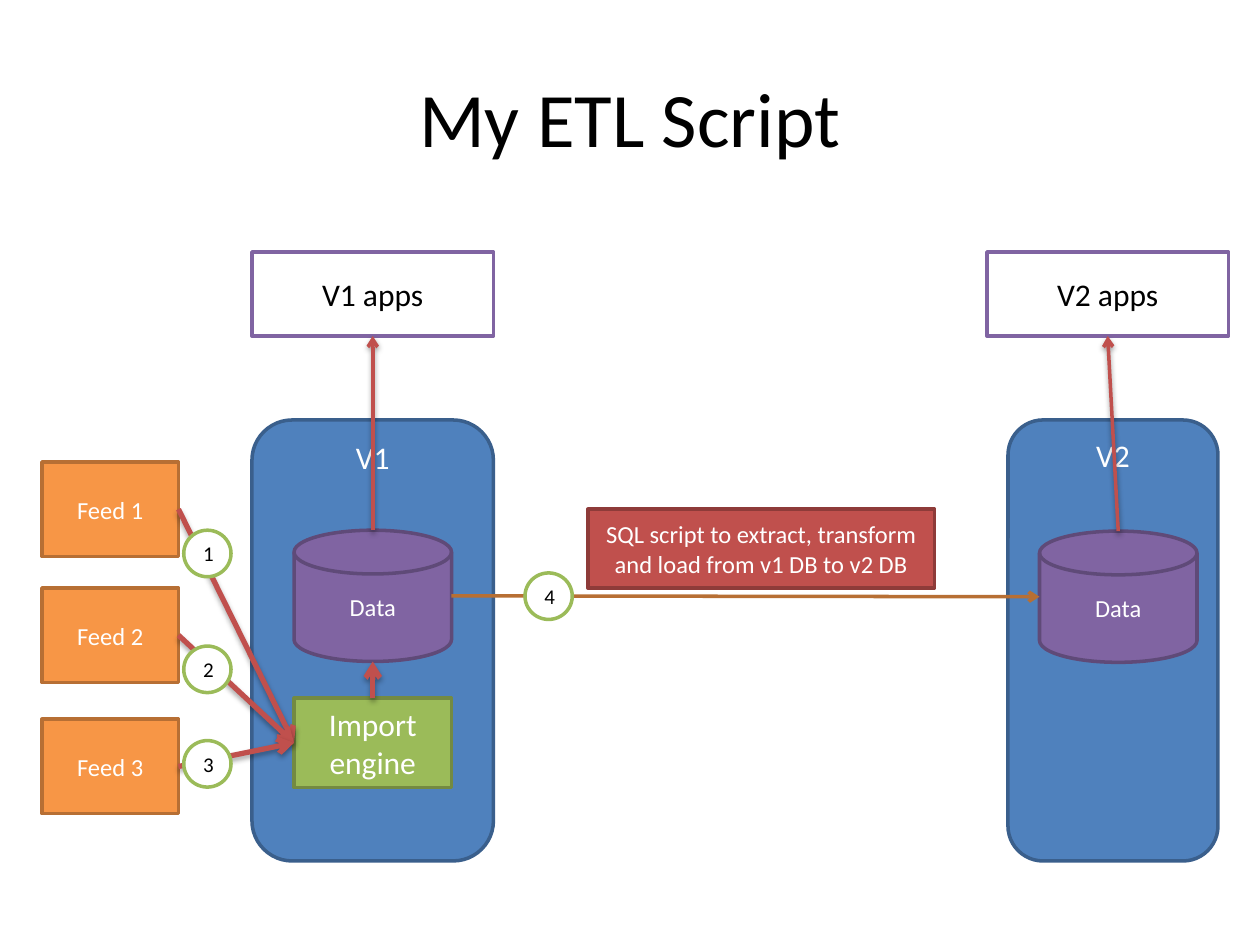
import pptx
import pptx.util
import pptx.dml.color
import pptx.enum.shapes
import pptx.enum.text
import pptx.oxml
import pptx.oxml.ns

Pt = pptx.util.Pt
RGB = pptx.dml.color.RGBColor
KIND = pptx.enum.shapes.MSO_SHAPE
ANCHOR = pptx.enum.text.MSO_ANCHOR
ALIGN = pptx.enum.text.PP_ALIGN

BLACK = RGB(0x00, 0x00, 0x00)
WHITE = RGB(0xFF, 0xFF, 0xFF)
BLUE = RGB(0x4F, 0x81, 0xBD)
NAVY = RGB(0x3A, 0x5F, 0x8C)
GREEN = RGB(0x9B, 0xBB, 0x59)
OLIVE = RGB(0x73, 0x8A, 0x42)
ORANGE = RGB(0xF7, 0x96, 0x46)
BROWN = RGB(0xB7, 0x6F, 0x34)
PURPLE = RGB(0x80, 0x64, 0xA2)
PLUM = RGB(0x5F, 0x4A, 0x78)
RED = RGB(0xC0, 0x50, 0x4D)
MAROON = RGB(0x8E, 0x3B, 0x39)


def write(frame, text, size=14, color=WHITE, anchor=ANCHOR.MIDDLE, font="Calibri"):
    frame.word_wrap = True
    frame.vertical_anchor = anchor
    para = frame.paragraphs[0]
    para.alignment = ALIGN.CENTER
    run = para.add_run()
    run.text = text
    run.font.name = font
    run.font.size = Pt(size)
    run.font.color.rgb = color


def side(shape, name):
    """Return the middle of the named side of a shape."""
    x = {"left": 0, "right": 1}.get(name, 0.5)
    y = {"top": 0, "bottom": 1}.get(name, 0.5)
    return int(shape.left + x * shape.width), int(shape.top + y * shape.height)


class Page:
    def __init__(self, slide, edge=2):
        self.slide = slide
        self.edge = edge

    def title(self, text, *area):
        box = self.slide.shapes.add_textbox(*map(Pt, area))
        write(box.text_frame, text, size=44, color=BLACK)

    def box(self, text, area, fill, line, kind=KIND.RECTANGLE, **style):
        shape = self.slide.shapes.add_shape(kind, *map(Pt, area))
        shape.shadow.inherit = False
        shape.fill.solid()
        shape.fill.fore_color.rgb = fill
        shape.line.color.rgb = line
        shape.line.width = Pt(self.edge)
        write(shape.text_frame, text, **style)
        return shape

    def badge(self, text, x, y):
        self.box(text, (x, y, 27, 26.6), WHITE, GREEN, KIND.OVAL, size=12, color=BLACK)

    def arrow(self, start, end, color=RED, width=2, alpha=None, drop=1.8):
        """Draw an arrow; alpha is the strength of its shadow in percent."""
        line = self.slide.shapes.add_connector(
            pptx.enum.shapes.MSO_CONNECTOR.STRAIGHT, *start, *end)
        line.line.color.rgb = color
        line.line.width = Pt(width)
        line.line._get_or_add_ln().append(pptx.oxml.parse_xml(
            f'<a:tailEnd {pptx.oxml.ns.nsdecls("a")} type="arrow"/>'))
        shade = ""
        if alpha:
            shade = (f'<a:outerShdw blurRad="{Pt(3.1)}" dist="{Pt(drop)}" '
                     f'dir="5400000" rotWithShape="0"><a:srgbClr val="{BLACK}">'
                     f'<a:alpha val="{alpha * 1000}"/></a:srgbClr></a:outerShdw>')
        line._element.spPr.append(pptx.oxml.parse_xml(
            f'<a:effectLst {pptx.oxml.ns.nsdecls("a")}>{shade}</a:effectLst>'))


def main():
    deck = pptx.Presentation()
    deck.slide_width, deck.slide_height = Pt(720), Pt(540)
    page = Page(deck.slides.add_slide(deck.slide_layouts[6]))
    page.title("My ETL Script", 36, 21.6, 648, 90)

    def server(name, x, width):
        page.box(name, (x, 240, width, 252), BLUE, NAVY, KIND.ROUNDED_RECTANGLE,
                 size=18, anchor=ANCHOR.TOP)

    def store(x, y):
        return page.box("Data", (x, y, 90, 75), PURPLE, PLUM,
                        KIND.FLOWCHART_MAGNETIC_DISK)

    server("V1", 144, 138)
    engine = page.box("Import engine", (168, 399, 90, 51), GREEN, OLIVE, size=18)
    feeds = [page.box(f"Feed {num}", (24, y, 78, 54), ORANGE, BROWN)
             for num, y in enumerate((264, 336, 411), 1)]
    for feed in feeds:
        page.arrow(side(feed, "right"), side(engine, "left"), width=3, alpha=35)
    old = store(168, 303)
    page.arrow(side(engine, "top"), side(old, "bottom"), width=3, alpha=35)

    server("V2", 576, 120)
    new = store(594, 303.5)
    page.arrow(side(old, "right"), side(new, "left"), color=BROWN)
    page.box("SQL script to extract, transform and load from v1 DB to v2 DB",
             (336, 291, 198, 45), RED, MAROON)

    spots = ((105, 303), (105, 369.2), (105, 423.2), (300, 327.4))
    for num, spot in enumerate(spots, 1):
        page.badge(str(num), *spot)

    apps = [page.box(text, (x, 144, 138, 48), WHITE, PURPLE, size=18, color=BLACK)
            for text, x in (("V1 apps", 144), ("V2 apps", 564))]
    for data, app in zip((old, new), apps):
        page.arrow(side(data, "top"), side(app, "bottom"), alpha=38, drop=1.6)

    deck.save("out.pptx")


if __name__ == "__main__":
    main()
